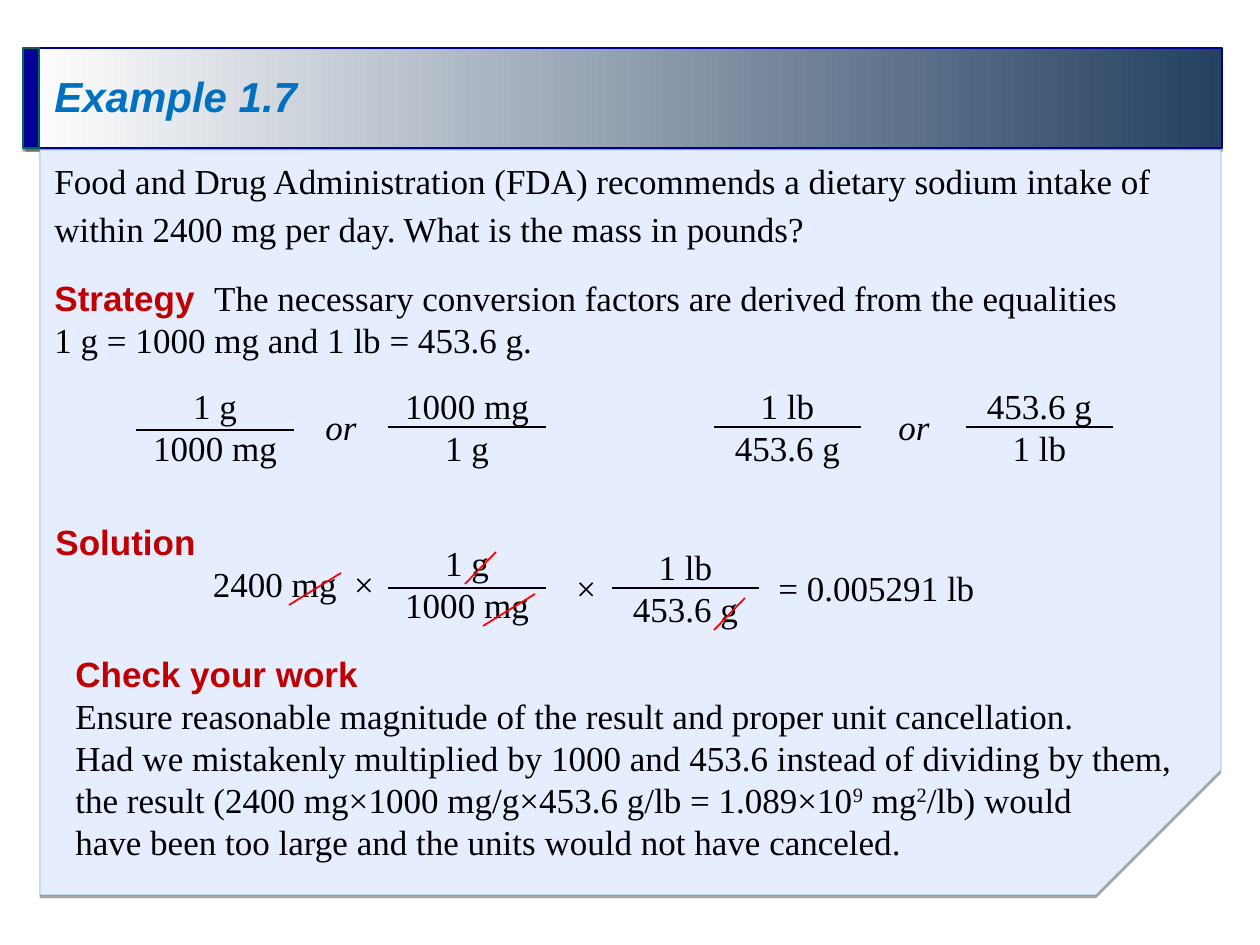
"""Build the Example 1.7 unit conversion slide."""
import lxml.etree
import pptx
import pptx.dml.color
import pptx.enum.shapes
import pptx.enum.text
import pptx.oxml
import pptx.oxml.ns
import pptx.util

PX = 914400 / 126
COLORS = {"navy": "000099", "green": "00664D", "panel": "E5EDFF", "white": "FFFFFF", "slate": "254061",
          "blue": "0070C0", "heading": "C00000", "black": "000000", "strike": "FF0000"}
COLORS = {name: pptx.dml.color.RGBColor.from_string(value) for name, value in COLORS.items()}
STYLES = {
    "body": ("Times New Roman", 20, "black", False, False),
    "or": ("Times New Roman", 20, "black", False, True),
    "super": ("Times New Roman", 20, "black", False, False),
    "heading": ("Arial", 20, "heading", True, False),
    "title": ("Arial", 24, "blue", True, True),
}
SHADOW = (
    f'<a:effectLst {pptx.oxml.ns.nsdecls("a")}><a:outerShdw dist="22860" dir="5400000" rotWithShape="0">'
    '<a:srgbClr val="000000"><a:alpha val="35000"/></a:srgbClr></a:outerShdw></a:effectLst>'
)
qn = pptx.oxml.ns.qn

presentation = pptx.Presentation()
presentation.slide_width = pptx.util.Inches(10)
presentation.slide_height = pptx.util.Inches(7.5)
slide = presentation.slides.add_slide(presentation.slide_layouts[6])
shapes = slide.shapes


def add_text(left, top, width, height, lines, align=None, wrap=True):
    box = shapes.add_textbox(*(round(value * PX) for value in (left, top, width, height)))
    frame = box.text_frame
    frame.word_wrap = wrap
    for index, pieces in enumerate(lines):
        paragraph = frame.paragraphs[0] if index == 0 else frame.add_paragraph()
        paragraph.alignment = align
        for text, style in pieces:
            if style == "break":
                paragraph.add_line_break()
                continue
            run = paragraph.add_run()
            run.text = text
            font = run.font
            font.name, size, color, font.bold, font.italic = STYLES[style]
            font.size = pptx.util.Pt(size)
            font.color.rgb = COLORS[color]
            if style == "super":
                run._r.get_or_add_rPr().set("baseline", "30000")
    return frame


def add_line(x1, y1, x2, y2, color):
    line = shapes.add_connector(
        pptx.enum.shapes.MSO_CONNECTOR.STRAIGHT, *(round(value * PX) for value in (x1, y1, x2, y2)))
    line.line.color.rgb = COLORS[color]
    line.line.width = pptx.util.Pt(1)
    lxml.etree.SubElement(line._element.spPr, qn("a:effectLst"))


RECTANGLE = pptx.enum.shapes.MSO_SHAPE.RECTANGLE
banner = shapes.add_shape(RECTANGLE, *(round(value * PX) for value in (26, 48, 1196, 100)))
builder = shapes.build_freeform(40, 895, scale=PX)
builder.add_line_segments([(1096, 895), (1221, 770), (1221, 150), (40, 150)], close=True)
panel = builder.convert_to_shape()
accent = shapes.add_shape(RECTANGLE, *(round(value * PX) for value in (23, 48, 16, 100)))

banner.fill.gradient()
banner.fill.gradient_angle = 0
for stop, color in zip(banner.fill.gradient_stops, ("white", "slate")):
    stop.color.rgb = COLORS[color]
for shape, color in ((panel, "panel"), (accent, "navy")):
    shape.fill.solid()
    shape.fill.fore_color.rgb = COLORS[color]
for shape, color in ((banner, "navy"), (panel, "green"), (accent, "green")):
    shape.line.color.rgb = COLORS[color]
    shape.line.width = pptx.util.Pt(0.75)
    shape._element.spPr.append(pptx.oxml.parse_xml(SHADOW))
outline_color = panel.line._ln.find(".//" + qn("a:srgbClr"))
lxml.etree.SubElement(outline_color, qn("a:alpha")).set("val", "18000")

title = add_text(42, 2, 1070, 197, [[("Example 1.7", "title")]])
title.vertical_anchor = pptx.enum.text.MSO_ANCHOR.MIDDLE
title.paragraphs[0].line_spacing = 0.81

question = add_text(42, 147, 1176, 110, [[(
    "Food and Drug Administration (FDA) recommends a dietary sodium intake of "
    "within 2400 mg per day. What is the mass in pounds?", "body")]])
question.paragraphs[0].line_spacing = 1.15
question.paragraphs[0].space_after = pptx.util.Pt(10)

add_text(42, 270, 1176, 97, [
    [("Strategy  ", "heading"),
     ("The necessary conversion factors are derived from the equalities", "body")],
    [("1 g = 1000 mg and 1 lb = 453.6 g.", "body")],
])

solution = add_text(43, 514, 1176, 97, [[("Solution", "heading")], [("\t2400 mg  ×", "body")]])
tabs = lxml.etree.SubElement(solution.paragraphs[1]._p.get_or_add_pPr(), qn("a:tabLst"))
tab = lxml.etree.SubElement(tabs, qn("a:tab"))
tab.set("pos", str(pptx.util.Inches(1.25)))
tab.set("algn", "l")

CENTER = pptx.enum.text.PP_ALIGN.CENTER
fractions = [
    (136, 378, 158, 430, "1 g", "1000 mg"),
    (388, 378, 158, 427, "1000 mg", "1 g"),
    (714, 378, 147, 427, "1 lb", "453.6 g"),
    (966, 378, 147, 427, "453.6 g", "1 lb"),
    (388, 535, 158, 588, "1 g", "1000 mg"),
    (612, 539, 147, 588, "1 lb", "453.6 g"),
]
for left, top, width, bar, numerator, denominator in fractions:
    add_text(left, top, width, 97, [[(numerator, "body")], [(denominator, "body")]], CENTER)
    add_line(left, bar, left + width, bar, "black")
for left in (299, 872):
    add_text(left, 399, 84, 55, [[("or", "or")]], CENTER)

add_text(564, 560, 44, 55, [[("×", "body")]], wrap=False)
add_text(766, 560, 262, 55, [[("= 0.005291 lb", "body")]])

for left, bottom, width, height in (
        (289, 605, 52, 32), (483, 626, 52, 32), (465, 584, 31, 32), (714, 630, 31, 32)):
    add_line(left, bottom, left + width, bottom - height, "strike")

add_text(63, 646, 1134, 223, [
    [("Check your work", "heading")],
    [("Ensure reasonable magnitude of the result and proper unit cancellation.", "body")],
    [("Had we mistakenly multiplied by 1000 and 453.6 instead of dividing by them, "
      "the result (2400 mg×1000 mg/g×453.6 g/lb = 1.089×10", "body"),
     ("9", "super"), (" mg", "body"), ("2", "super"), ("/lb) would", "body"), ("", "break"),
     ("have been too large and the units would not have canceled.", "body")],
])

presentation.save("out.pptx")
